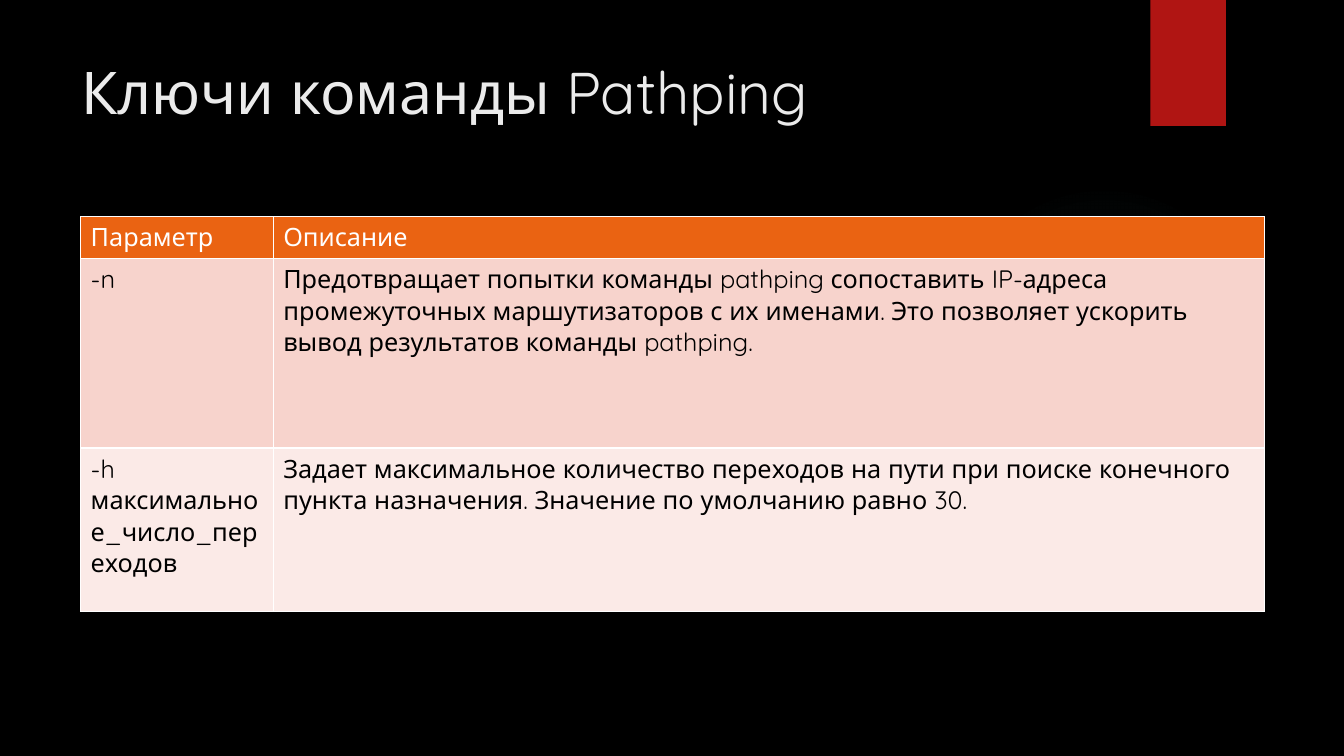
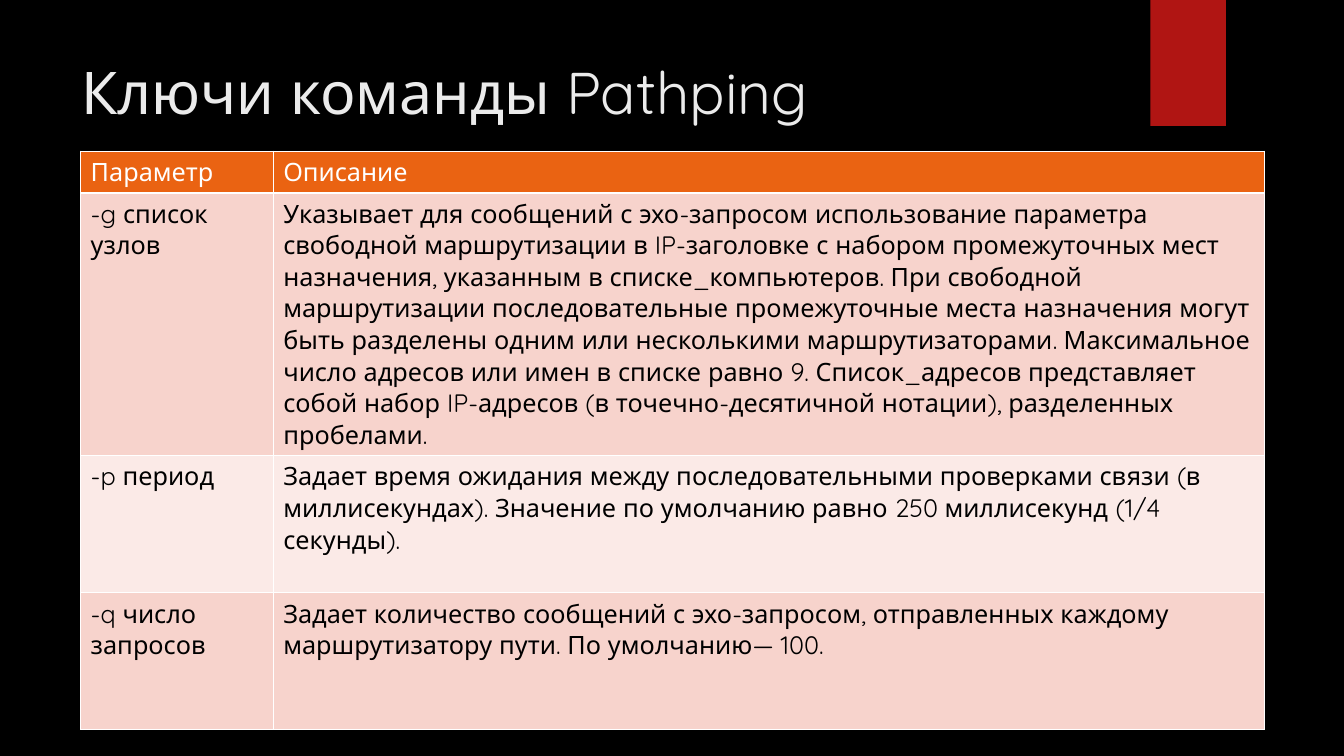
from dataclasses import dataclass

from lxml import etree
from pptx import Presentation
from pptx.dml.color import RGBColor
from pptx.enum.shapes import MSO_SHAPE
from pptx.enum.text import MSO_ANCHOR, PP_ALIGN
from pptx.oxml import parse_xml
from pptx.oxml.ns import nsdecls, qn
from pptx.util import Inches, Pt

RECTANGLE, OVAL = MSO_SHAPE.RECTANGLE, MSO_SHAPE.OVAL
TOP, LEFT = MSO_ANCHOR.TOP, PP_ALIGN.LEFT
TITLE_ONLY = 5


@dataclass(frozen=True)
class Theme:
    font: str = "Quicksand"
    title_size: int = 42
    cell_size: int = 18
    border_width: int = 1
    background: str = "000000"
    title: str = "EBEBEB"
    band: str = "B01513"
    glow: str = "50B9C1"
    header_fill: str = "EA6312"
    header_text: str = "FFFFFF"
    cell_text: str = "000000"
    border: str = "FFFFFF"
    stripes: tuple = ("F7D3CC", "FBEAE7")


THEME = Theme()
SLIDE_SIZE = (13.33, 7.5)
TITLE_BOX = (0.71, 0.5, 10.29, 1.53)
BAND_BOX = (11.41, 0, 0.75, 1.25)
GLOW_BOX = (9.41, 1.83, 3.08, 3.08)
GLOW_STOPS = ((0, 7), (36, 6), (69, 0))  # position and opacity in percent
TABLE_LEFT = 0.8
COLUMNS = (1.91, 9.83)
HEADER_HEIGHT = 0.41

TITLE = "Ключи команды Pathping"
HEADER = ("Параметр", "Описание")
SLIDES = [
    {
        "top": 2.15,
        "heights": (1.88, 1.62),
        "rows": [
            ("-n",
             "Предотвращает попытки команды pathping сопоставить IP-адреса "
             "промежуточных маршутизаторов с их именами. Это позволяет ускорить "
             "вывод результатов команды pathping."),
            ("-h максимальное_число_переходов",
             "Задает максимальное количество переходов на пути при поиске конечного "
             "пункта назначения. Значение по умолчанию равно 30."),
        ],
    },
    {
        "top": 1.5,
        "heights": (2.6, 1.36, 1.36),
        "rows": [
            ("-g список узлов",
             "Указывает для сообщений с эхо-запросом использование параметра "
             "свободной маршрутизации в IP-заголовке с набором промежуточных мест "
             "назначения, указанным в списке_компьютеров. При свободной "
             "маршрутизации последовательные промежуточные места назначения могут "
             "быть разделены одним или несколькими маршрутизаторами. Максимальное "
             "число адресов или имен в списке равно 9. Список_адресов представляет "
             "собой набор IP-адресов (в точечно-десятичной нотации), разделенных "
             "пробелами."),
            ("-p период",
             "Задает время ожидания между последовательными проверками связи (в "
             "миллисекундах). Значение по умолчанию равно 250 миллисекунд (1/4 "
             "секунды)."),
            ("-q число запросов",
             "Задает количество сообщений с эхо-запросом, отправленных каждому "
             "маршрутизатору пути. По умолчанию— 100."),
        ],
    },
]


def inches(box):
    return [Inches(length) for length in box]


def fill_solid(fill, color):
    fill.solid()
    fill.fore_color.rgb = RGBColor.from_string(color)


def style_text(frame, size, color):
    for para in frame.paragraphs:
        para.alignment = LEFT
        for span in para.runs:
            span.font.name = THEME.font
            span.font.size = Pt(size)
            span.font.bold = False
            span.font.color.rgb = RGBColor.from_string(color)


def add_plain_shape(slide, kind, box, color):
    shape = slide.shapes.add_shape(kind, *inches(box))
    shape.shadow.inherit = False
    shape.line.fill.background()
    fill_solid(shape.fill, color)
    return shape


def fade_fill(shape):
    """Replace the solid fill by a radial fade to transparent."""
    stops = "".join(
        f'<a:gs pos="{position * 1000}"><a:srgbClr val="{THEME.glow}">'
        f'<a:alpha val="{opacity * 1000}"/></a:srgbClr></a:gs>'
        for position, opacity in GLOW_STOPS)
    gradient = parse_xml(
        f'<a:gradFill {nsdecls("a")}><a:gsLst>{stops}</a:gsLst><a:path path="circle">'
        '<a:fillToRect l="50000" t="50000" r="50000" b="50000"/></a:path></a:gradFill>')
    properties = shape.element.spPr
    properties.replace(properties.find(qn("a:solidFill")), gradient)


def decorate_layout(layout, slide):
    """Give the layout its background, glow and band, drawn by way of a slide."""
    fill_solid(layout.background.fill, THEME.background)
    for holder in list(layout.placeholders)[1:]:
        holder.element.getparent().remove(holder.element)
    glow = add_plain_shape(slide, OVAL, GLOW_BOX, THEME.glow)
    fade_fill(glow)
    band = add_plain_shape(slide, RECTANGLE, BAND_BOX, THEME.band)
    for shape in (glow, band):
        layout.shapes.element.append(shape.element)


def set_title(slide):
    title = slide.shapes.title
    title.left, title.top, title.width, title.height = inches(TITLE_BOX)
    title.text_frame.text = TITLE
    title.text_frame.vertical_anchor = TOP
    style_text(title.text_frame, THEME.title_size, THEME.title)


def add_borders(cell):
    properties = cell._tc.get_or_add_tcPr()
    for side in ("lnL", "lnR", "lnT", "lnB"):
        line = etree.SubElement(properties, qn(f"a:{side}"), w=str(Pt(THEME.border_width)))
        fill = etree.SubElement(line, qn("a:solidFill"))
        etree.SubElement(fill, qn("a:srgbClr"), val=THEME.border)


def add_key_table(slide, top, heights, rows):
    heights = (HEADER_HEIGHT, *heights)
    rows = [HEADER, *rows]
    box = (TABLE_LEFT, top, sum(COLUMNS), sum(heights))
    table = slide.shapes.add_table(len(rows), len(COLUMNS), *inches(box)).table
    for column, width in zip(table.columns, COLUMNS):
        column.width = Inches(width)
    for index, (texts, height) in enumerate(zip(rows, heights)):
        table.rows[index].height = Inches(height)
        if index == 0:
            fill, color = THEME.header_fill, THEME.header_text
        else:
            fill, color = THEME.stripes[(index - 1) % 2], THEME.cell_text
        for cell, text in zip(table.rows[index].cells, texts):
            cell.text_frame.text = text
            style_text(cell.text_frame, THEME.cell_size, color)
            add_borders(cell)
            fill_solid(cell.fill, fill)


def main():
    deck = Presentation()
    deck.slide_width, deck.slide_height = inches(SLIDE_SIZE)
    layout = deck.slide_layouts[TITLE_ONLY]
    for index, content in enumerate(SLIDES):
        slide = deck.slides.add_slide(layout)
        if index == 0:
            decorate_layout(layout, slide)
        set_title(slide)
        add_key_table(slide, **content)
    deck.save("out.pptx")


if __name__ == "__main__":
    main()
